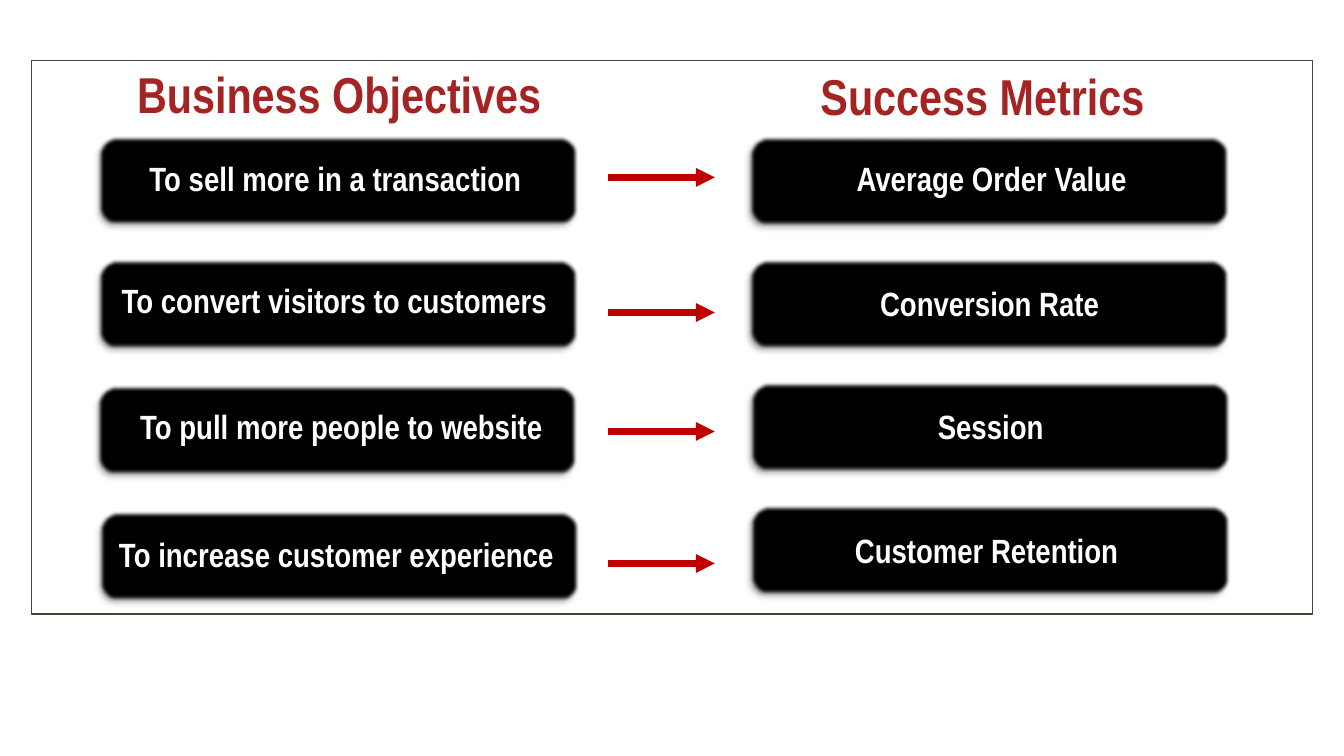
"""Build a slide that pairs business objectives with success metrics."""
from lxml import etree
from pptx import Presentation
from pptx import util as u
from pptx.dml.color import RGBColor
from pptx.enum import shapes, text
from pptx.oxml import ns

RED = RGBColor(0xA4, 0x24, 0x24)
ARROW = RGBColor(0xC0, 0x00, 0x00)
FRAME = RGBColor(0x4A, 0x44, 0x38)
BLACK = RGBColor(0x00, 0x00, 0x00)
WHITE = RGBColor(0xFF, 0xFF, 0xFF)

HEAD = {"name": "Arial Narrow", "size": u.Pt(36), "bold": True}
BODY = {"name": "Arial Narrow", "size": u.Pt(24), "bold": True}
EFFECT = f"""<a:effectLst {ns.nsdecls("a")}>
<a:outerShdw blurRad="50800" dist="38100" dir="8100000" algn="tr" rotWithShape="0">
<a:srgbClr val="000000"><a:alpha val="40000"/></a:srgbClr></a:outerShdw>
<a:softEdge rad="31750"/></a:effectLst>"""


def place(*nums):
    return [u.Inches(n) for n in nums]


def write(box, words, look, color):
    frame = box.text_frame
    frame.word_wrap = True
    frame.vertical_anchor = text.MSO_ANCHOR.MIDDLE
    para = frame.paragraphs[0]
    para.alignment = text.PP_ALIGN.CENTER
    run = para.add_run()
    run.text = words
    for key, value in look.items():
        setattr(run.font, key, value)
    run.font.color.rgb = color
    return para


deck = Presentation()
deck.slide_width, deck.slide_height = place(13.33, 7.5)
slide = deck.slides.add_slide(deck.slide_layouts[5])
items = slide.shapes

title = items.title
title.left, title.top, title.width, title.height = place(0.58, 0.39, 5.57, 1.15)
metric = items.add_textbox(*place(6.96, 0.41, 5.57, 1.15))
for box, words in ((title, "Business Objectives"), (metric, "Success Metrics")):
    write(box, words, HEAD, RED).line_spacing = 0.9

frame = items.add_shape(shapes.MSO_SHAPE.RECTANGLE, *place(0.31, 0.6, 12.71, 5.49))
frame.shadow.inherit = False
frame.fill.background()
frame.line.color.rgb = FRAME
frame.line.width = u.Pt(1)

cards = [
    ("To sell more in a transaction", 0.98, 1.35, 1.07, 1.52),
    ("Average Order Value", 7.43, 1.36, 7.58, 1.52),
    ("To convert visitors to customers", 0.98, 2.58, 1.06, 2.73),
    ("Conversion Rate", 7.43, 2.58, 7.56, 2.76),
    ("To pull more people to website", 0.97, 3.83, 1.13, 3.98),
    ("Session", 7.44, 3.8, 7.57, 3.98),
    ("To increase customer experience", 0.99, 5.08, 1.08, 5.25),
    ("Customer Retention", 7.44, 5.02, 7.53, 5.21),
]
for words, left, top, label_x, label_y in cards:
    card = items.add_shape(shapes.MSO_SHAPE.ROUNDED_RECTANGLE,
                           *place(left, top, 4.75, 0.88))
    card.fill.solid()
    card.fill.fore_color.rgb = BLACK
    card.line.fill.background()
    card.element.spPr.append(etree.fromstring(EFFECT))
    label = items.add_textbox(*place(label_x, label_y, 4.51, 0.5))
    write(label, words, BODY, WHITE)

for y in (1.76, 3.1, 4.28, 5.59):
    arrow = items.add_connector(shapes.MSO_CONNECTOR.STRAIGHT,
                                *place(6.03, y, 7.09, y))
    arrow.line.color.rgb = ARROW
    arrow.line.width = u.Pt(4.5)
    props = arrow.element.spPr
    etree.SubElement(props.find(ns.qn("a:ln")), ns.qn("a:tailEnd"), type="triangle")
    etree.SubElement(props, ns.qn("a:effectLst"))

deck.save("out.pptx")
